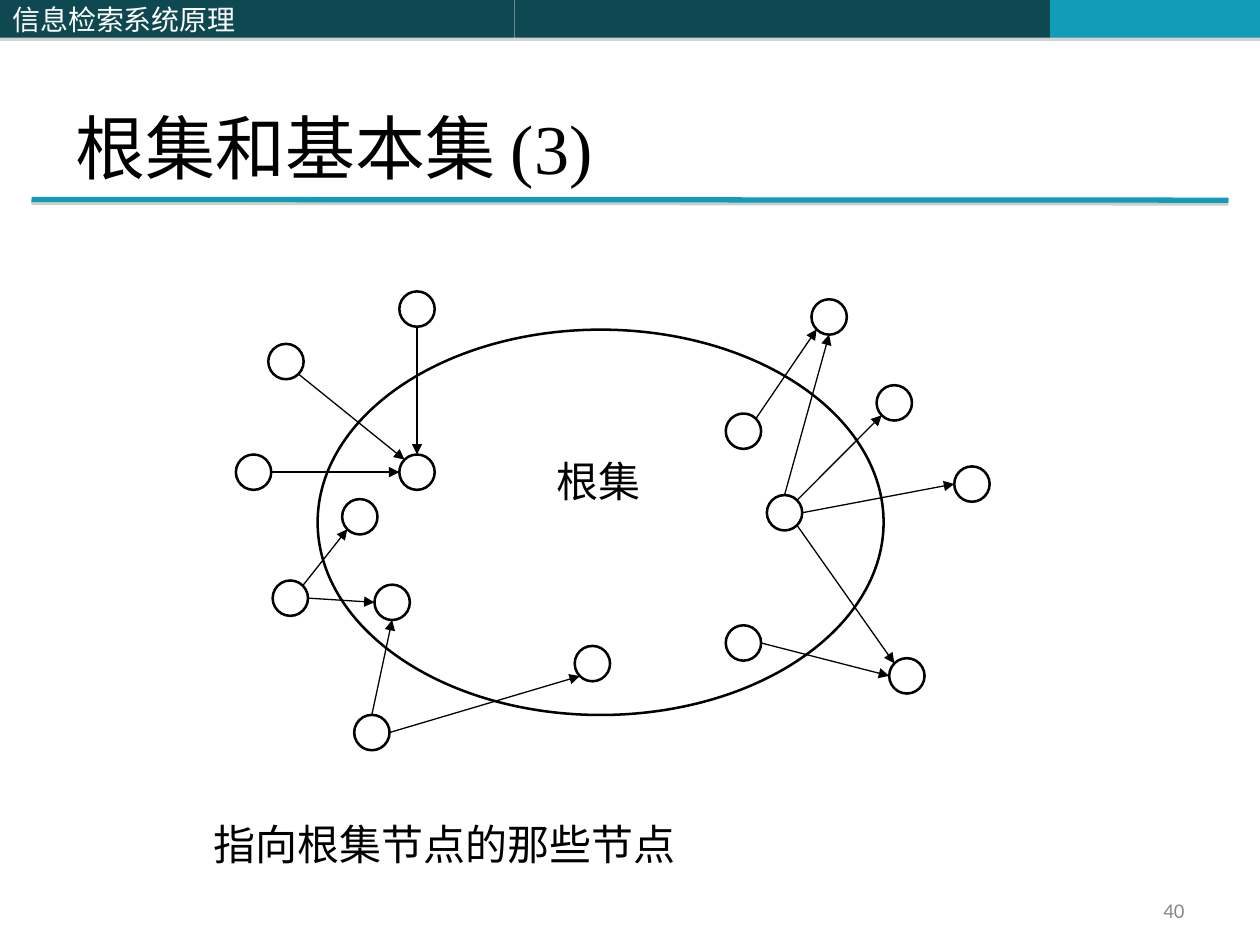
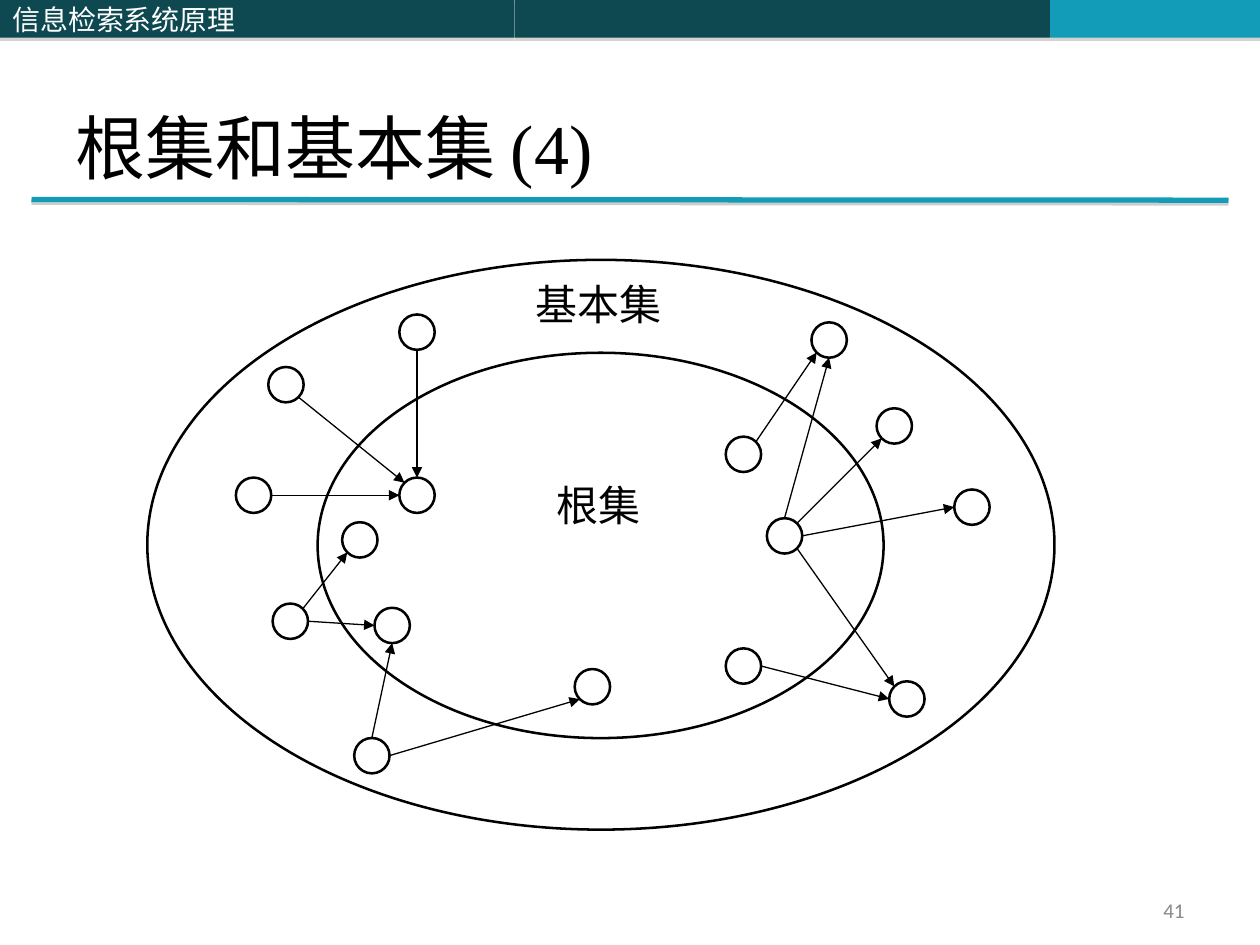
from dataclasses import dataclass
from math import sqrt

from lxml.etree import SubElement
from pptx import Presentation
from pptx.dml.color import RGBColor
from pptx.enum.shapes import MSO_CONNECTOR, MSO_SHAPE
from pptx.enum.text import MSO_ANCHOR, PP_ALIGN
from pptx.oxml.ns import qn
from pptx.util import Pt


@dataclass(frozen=True)
class Theme:
    dark: str = "0E4851"
    accent: str = "139CB7"
    ink: str = "000000"
    white: str = "FFFFFF"
    muted: str = "898989"
    shadow: str = "808080"
    title_font: str = "Times New Roman"
    body_font: str = "Calibri"
    chinese_font: str = "Noto Sans CJK SC"
    title_size: float = 40
    label_size: float = 24
    band_size: float = 16
    number_size: float = 12
    rule_width: float = 3
    outline_width: float = 1.45
    arrow_width: float = 0.75


THEME = Theme()
SLIDE_WIDTH, SLIDE_HEIGHT = 720, 540
BAND_HEIGHT = 21.6
NODE_RADIUS = 10.1
BASE_SET_SHIFT = 13.2
ROOT_SET = (181.5, 188.4, 323.4, 220.2)
BASE_SET = (84.2, 148.5, 518.4, 325.6)

NODES = {
    "above_left": (238.3, 176.6),
    "upper_left": (163.4, 206.6),
    "far_left": (144.9, 269.8),
    "root_hub": (238.3, 269.8),
    "lower_left": (165.9, 341.8),
    "root_left": (205.6, 295.3),
    "root_lower_left": (224.1, 344.2),
    "below_left": (212.5, 418.6),
    "root_bottom": (338.5, 379.2),
    "root_upper_right": (424.8, 246.4),
    "above_right": (473.8, 181.1),
    "upper_right": (511, 230.2),
    "root_right": (448.3, 293),
    "far_right": (555.4, 276.6),
    "root_lower_right": (424.8, 367.4),
    "lower_right": (518.2, 386.2),
}

DIAGONAL = 1 / sqrt(2)
SIDES = {
    "top": (0, -1),
    "bottom": (0, 1),
    "left": (-1, 0),
    "right": (1, 0),
    "top left": (-DIAGONAL, -DIAGONAL),
    "top right": (DIAGONAL, -DIAGONAL),
    "bottom left": (-DIAGONAL, DIAGONAL),
    "bottom right": (DIAGONAL, DIAGONAL),
}

LINKS = [
    ("upper_left", "bottom right", "root_hub", "top left"),
    ("far_left", "right", "root_hub", "left"),
    ("above_left", "bottom", "root_hub", "top"),
    ("lower_left", "top right", "root_left", "bottom left"),
    ("lower_left", "right", "root_lower_left", "left"),
    ("below_left", "top", "root_lower_left", "bottom"),
    ("below_left", "right", "root_bottom", "bottom left"),
    ("root_upper_right", "top right", "above_right", "bottom left"),
    ("root_right", "top", "above_right", "bottom"),
    ("root_right", "top right", "upper_right", "bottom left"),
    ("root_right", "right", "far_right", "left"),
    ("root_right", "bottom right", "lower_right", "top left"),
    ("root_lower_right", "right", "lower_right", "left"),
]


def color(value):
    return RGBColor.from_string(value)


def write_text(shape, text, *, size, font=THEME.body_font, ink=THEME.ink,
               align=PP_ALIGN.LEFT, anchor=MSO_ANCHOR.TOP):
    frame = shape.text_frame
    frame.word_wrap = True
    frame.vertical_anchor = anchor
    paragraph = frame.paragraphs[0]
    paragraph.alignment = align
    run = paragraph.add_run()
    run.text = text
    run.font.size = Pt(size)
    run.font.name = font
    run.font.color.rgb = color(ink)
    east_asian = SubElement(run.font._element, qn("a:ea"))
    east_asian.set("typeface", THEME.chinese_font)


def add_label(slide, text, left, top, width, height, **text_format):
    box = slide.shapes.add_textbox(Pt(left), Pt(top), Pt(width), Pt(height))
    write_text(box, text, **text_format)


def set_shadow(shape, distance=0, opacity=0):
    properties = shape._element.spPr
    for old_effects in properties.findall(qn("a:effectLst")):
        properties.remove(old_effects)
    effects = SubElement(properties, qn("a:effectLst"))
    if distance:
        shadow = SubElement(effects, qn("a:outerShdw"), blurRad="0",
                            dist=str(Pt(distance)), dir="5400000", rotWithShape="0")
        shade = SubElement(shadow, qn("a:srgbClr"), val=THEME.shadow)
        SubElement(shade, qn("a:alpha"), val=str(opacity * 1000))


def add_band(slide, left, width, fill):
    band = slide.shapes.add_shape(
        MSO_SHAPE.RECTANGLE, Pt(left), Pt(0), Pt(width), Pt(BAND_HEIGHT))
    band.fill.solid()
    band.fill.fore_color.rgb = color(fill)
    band.line.fill.background()
    set_shadow(band, distance=1.8, opacity=35)
    return band


def add_line(slide, start, end, ink, width):
    points = [Pt(value) for value in (*start, *end)]
    line = slide.shapes.add_connector(MSO_CONNECTOR.STRAIGHT, *points)
    line.line.color.rgb = color(ink)
    line.line.width = Pt(width)
    set_shadow(line)
    return line


def add_ellipse(slide, left, top, width, height):
    ellipse = slide.shapes.add_shape(
        MSO_SHAPE.OVAL, Pt(left), Pt(top), Pt(width), Pt(height))
    ellipse.fill.background()
    ellipse.line.color.rgb = color(THEME.ink)
    ellipse.line.width = Pt(THEME.outline_width)
    ellipse.shadow.inherit = False


def side_point(node, side, shift):
    x, y = NODES[node]
    across, down = SIDES[side]
    return x + across * NODE_RADIUS, y + shift + down * NODE_RADIUS


def add_link(slide, source, source_side, target, target_side, shift):
    arrow = add_line(slide, side_point(source, source_side, shift),
                     side_point(target, target_side, shift),
                     THEME.ink, THEME.arrow_width)
    SubElement(arrow.line._get_or_add_ln(), qn("a:tailEnd"), type="triangle")


def add_link_graph(slide, shift=0):
    left, top, width, height = ROOT_SET
    add_ellipse(slide, left, top + shift, width, height)
    for x, y in NODES.values():
        add_ellipse(slide, x - NODE_RADIUS, y + shift - NODE_RADIUS,
                    2 * NODE_RADIUS, 2 * NODE_RADIUS)
    for link in LINKS:
        add_link(slide, *link, shift)
    add_label(slide, "根集", 311, 257 + shift, 94, 36, size=THEME.label_size)


def add_framed_slide(presentation, title_text, number):
    slide = presentation.slides.add_slide(presentation.slide_layouts[5])
    add_band(slide, 294, 306, THEME.dark)
    add_band(slide, 600, 120, THEME.accent)
    rule = add_line(slide, (18, 114), (702, 114.4), THEME.accent, THEME.rule_width)
    set_shadow(rule, distance=1.6, opacity=38)
    course_band = add_band(slide, 0, 294, THEME.dark)
    write_text(course_band, "信息检索系统原理", size=THEME.band_size,
               font=THEME.chinese_font, ink=THEME.white, anchor=MSO_ANCHOR.MIDDLE)
    title = slide.shapes.title
    title.left, title.top, title.width, title.height = Pt(36), Pt(21.6), Pt(648), Pt(90)
    write_text(title, title_text, size=THEME.title_size, font=THEME.title_font,
               anchor=MSO_ANCHOR.BOTTOM)
    add_label(slide, str(number), 516, 510, 168, 19.8, size=THEME.number_size,
              ink=THEME.muted, align=PP_ALIGN.RIGHT, anchor=MSO_ANCHOR.MIDDLE)
    return slide


def add_root_set_slide(presentation):
    slide = add_framed_slide(presentation, "根集和基本集 (3)", 40)
    add_link_graph(slide)
    add_label(slide, "指向根集节点的那些节点", 75, 464.4, 358, 36,
              size=THEME.label_size, align=PP_ALIGN.CENTER)


def add_base_set_slide(presentation):
    slide = add_framed_slide(presentation, "根集和基本集 (4)", 41)
    add_link_graph(slide, BASE_SET_SHIFT)
    add_ellipse(slide, *BASE_SET)
    add_label(slide, "基本集", 298.8, 155.5, 105, 36, size=THEME.label_size)


def main():
    presentation = Presentation()
    presentation.slide_width = Pt(SLIDE_WIDTH)
    presentation.slide_height = Pt(SLIDE_HEIGHT)
    add_root_set_slide(presentation)
    add_base_set_slide(presentation)
    presentation.save("out.pptx")


if __name__ == "__main__":
    main()
